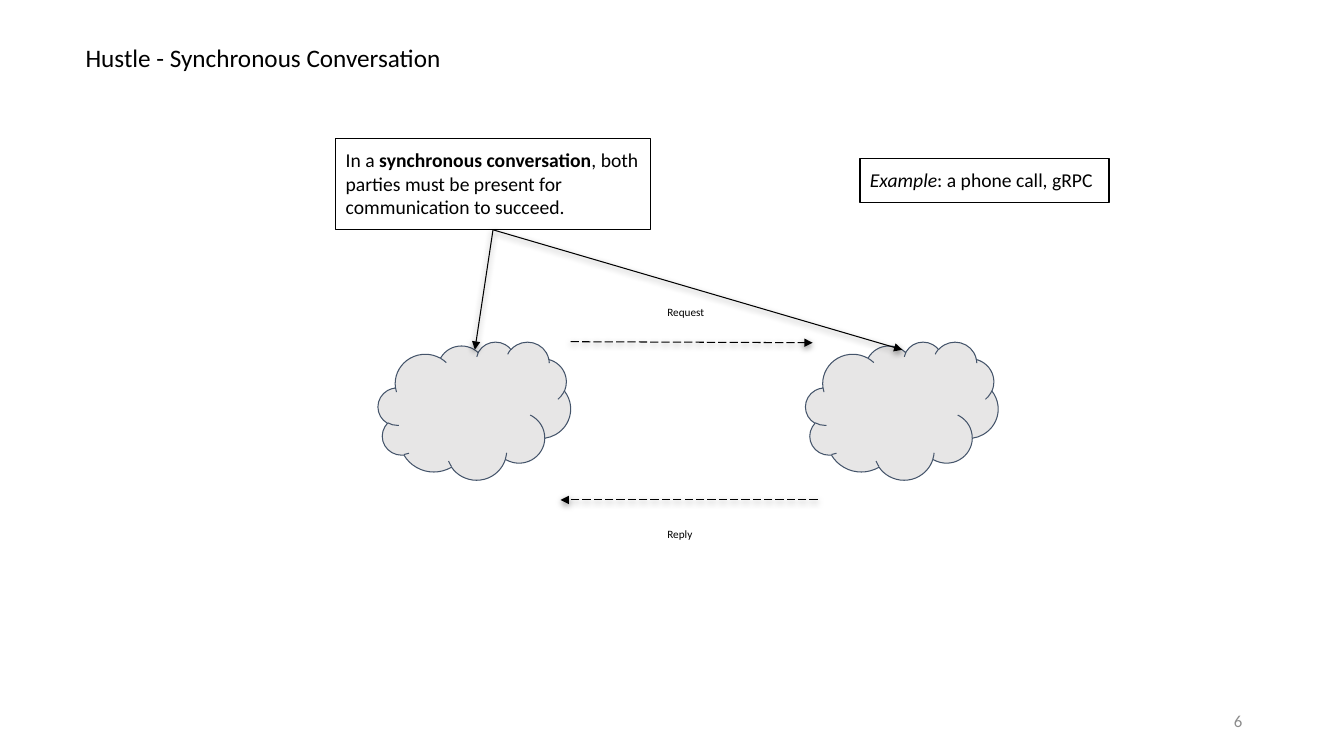
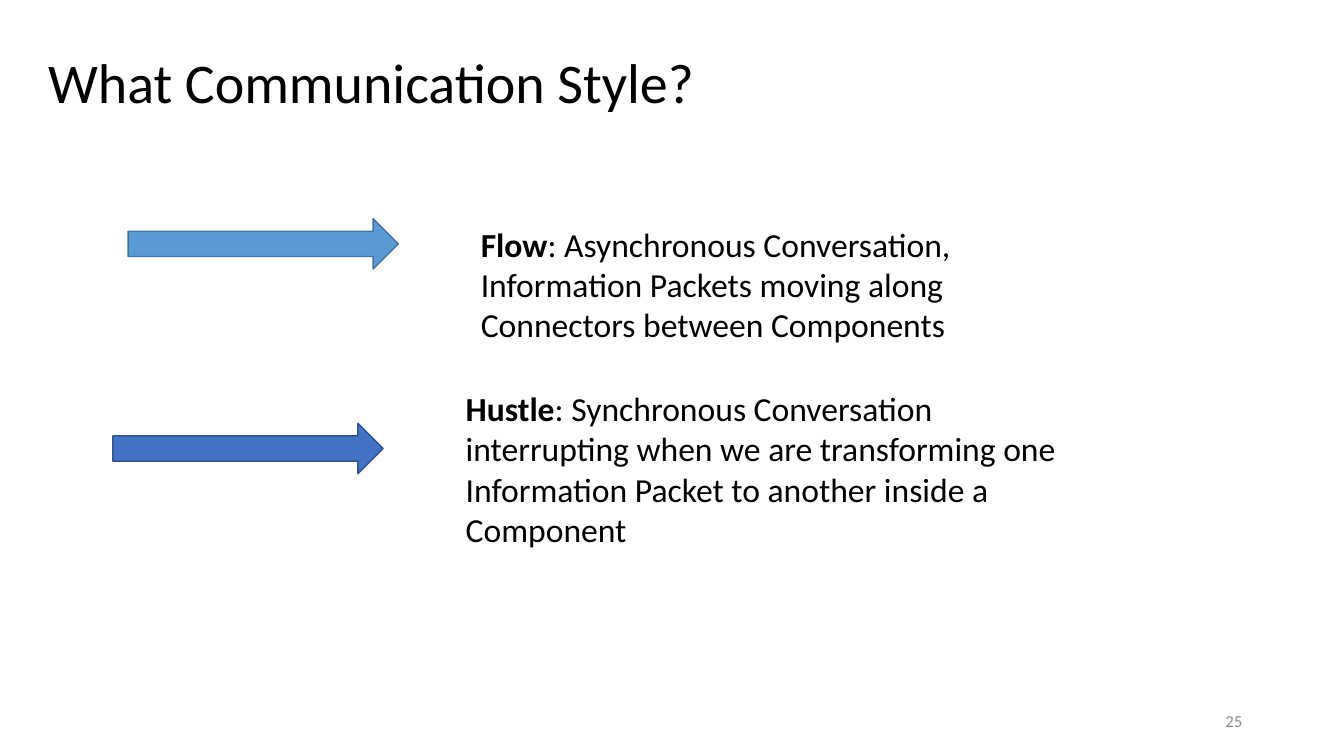
from lxml import etree
from pptx import Presentation
from pptx.dml.color import RGBColor
from pptx.enum.dml import MSO_LINE
from pptx.enum.shapes import MSO_CONNECTOR, MSO_SHAPE
from pptx.enum.text import MSO_ANCHOR, PP_ALIGN
from pptx.oxml import parse_xml
from pptx.oxml.ns import nsdecls, qn
from pptx.util import Pt

PX = 9144  # 100 px to the inch
FONT = "Calibri"
BLACK = RGBColor(0x00, 0x00, 0x00)
GREY = RGBColor(0x8C, 0x8C, 0x8C)
CLOUD_FILL = RGBColor(0xE7, 0xE6, 0xE6)
CLOUD_LINE = RGBColor(0x44, 0x54, 0x6A)
FLOW_FILL = RGBColor(0x5B, 0x9B, 0xD5)
FLOW_LINE = RGBColor(0x43, 0x73, 0x9E)
HUSTLE_FILL = RGBColor(0x44, 0x72, 0xC4)
HUSTLE_LINE = RGBColor(0x32, 0x54, 0x91)

SHADOW = (
    f'<a:effectLst {nsdecls("a")}>'
    '<a:outerShdw blurRad="57150" dist="19050" dir="5400000" algn="bl" rotWithShape="0">'
    '<a:srgbClr val="000000"><a:alpha val="50000"/></a:srgbClr>'
    '</a:outerShdw></a:effectLst>'
)


def emu(*lengths):
    return [length * PX for length in lengths]


def write(shape, runs, size, color=BLACK, align=PP_ALIGN.LEFT,
          anchor=MSO_ANCHOR.TOP, inset=10, spacing=None):
    """Fill a shape with one paragraph of (text, style) runs; inset is top and bottom."""
    tf = shape.text_frame
    tf.word_wrap = True
    tf.vertical_anchor = anchor
    tf.margin_left = tf.margin_right = 10 * PX
    tf.margin_top = tf.margin_bottom = inset * PX
    p = tf.paragraphs[0]
    p.alignment = align
    if spacing:
        p.line_spacing = spacing
    for text, style in runs:
        r = p.add_run()
        r.text = text
        r.font.name = FONT
        r.font.size = Pt(size)
        r.font.color.rgb = color
        r.font.bold = style == "bold"
        r.font.italic = style == "italic"


def add_text(s, box, runs, size, **style):
    write(s.shapes.add_textbox(*emu(*box)), runs, size, **style)


def add_preset(s, kind, box, fill, line, weight=0.75):
    sp = s.shapes.add_shape(kind, *emu(*box))
    sp.shadow.inherit = False
    if fill is None:
        sp.fill.background()
    else:
        sp.fill.solid()
        sp.fill.fore_color.rgb = fill
    sp.line.color.rgb = line
    sp.line.width = Pt(weight)
    return sp


def add_note(s, box, runs):
    write(add_preset(s, MSO_SHAPE.RECTANGLE, box, None, BLACK), runs, 14)


def add_arrow(s, start, end, dash=None):
    cn = s.shapes.add_connector(MSO_CONNECTOR.STRAIGHT, *emu(*start, *end))
    cn.line.color.rgb = BLACK
    cn.line.width = Pt(0.75)
    if dash:
        cn.line.dash_style = dash
    ln = cn.line._get_or_add_ln()
    etree.SubElement(ln, qn("a:tailEnd"), type="triangle")
    cn._element.spPr.append(parse_xml(SHADOW))


def add_slide(prs, title, title_box, size, page, **title_style):
    s = prs.slides.add_slide(prs.slide_layouts[6])
    add_text(s, title_box, [(title, None)], size, **title_style)
    add_text(s, (942, 695, 300, 40), [(page, None)], 12, color=GREY,
             align=PP_ALIGN.RIGHT, anchor=MSO_ANCHOR.MIDDLE, inset=5)
    return s


def request_reply(s, x, y, w, h):
    """Two clouds at the ends of the box, with a request above and a reply below."""
    cloud_w, cloud_h = 191, 137
    for left in (x, x + w - cloud_w):
        add_preset(s, MSO_SHAPE.CLOUD, (left, y, cloud_w, cloud_h), CLOUD_FILL, CLOUD_LINE)
    reply_y = y + h
    add_arrow(s, (x + cloud_w, y), (x + 431, y + 1), MSO_LINE.LONG_DASH)
    add_arrow(s, (x + 436, reply_y), (x + 181, reply_y), MSO_LINE.LONG_DASH)
    for label, top in (("Request", y - 43), ("Reply", reply_y + 20)):
        add_text(s, (x + 277, top, 62, 34), [(label, None)], 8)
    return [(left + cloud_w // 2 + 1, y + 8) for left in (x, x + w - cloud_w)]


def definition(s, x, y, w, h, targets):
    """A note with an arrow from its bottom edge to each target."""
    add_note(s, (x, y, w, h), [
        ("In a ", None),
        ("synchronous conversation", "bold"),
        (", both parties must be present for communication to succeed.", None),
    ])
    for target in targets:
        add_arrow(s, (x + w // 2, y + h), target)


def style_row(s, x, y, h, arrow_dy, fill, line, name, meaning):
    """A block arrow with its explanation to the right."""
    add_preset(s, MSO_SHAPE.RIGHT_ARROW, (x, y + arrow_dy, 268, 50), fill, line, 1)
    add_text(s, (x + 340, y, 611, h), [(name, "bold"), (meaning, None)], 24, inset=5)


def conversation_slide(prs):
    s = add_slide(prs, "Hustle - Synchronous Conversation", (75, 32, 865, 50), 18, "6")
    clouds = request_reply(s, 375, 339, 615, 157)
    definition(s, 333, 137, 312, 91, clouds)
    add_note(s, (853, 157, 247, 44),
             [("Example", "italic"), (": a phone call, gRPC", None)])


def style_slide(prs):
    s = add_slide(prs, "What Communication Style?", (38, 39, 1226, 91), 40, "25",
                  anchor=MSO_ANCHOR.MIDDLE, inset=5, spacing=0.9)
    style_row(s, 127, 217, 131, 0, FLOW_FILL, FLOW_LINE, "Flow",
              ": Asynchronous Conversation, Information Packets moving along "
              "Connectors between Components")
    style_row(s, 112, 380, 172, 40, HUSTLE_FILL, HUSTLE_LINE, "Hustle",
              ": Synchronous Conversation interrupting when we are transforming one "
              "Information Packet to another inside a Component")


def main():
    prs = Presentation()
    prs.slide_width, prs.slide_height = emu(1333, 750)
    conversation_slide(prs)
    style_slide(prs)
    prs.save("out.pptx")


if __name__ == "__main__":
    main()
